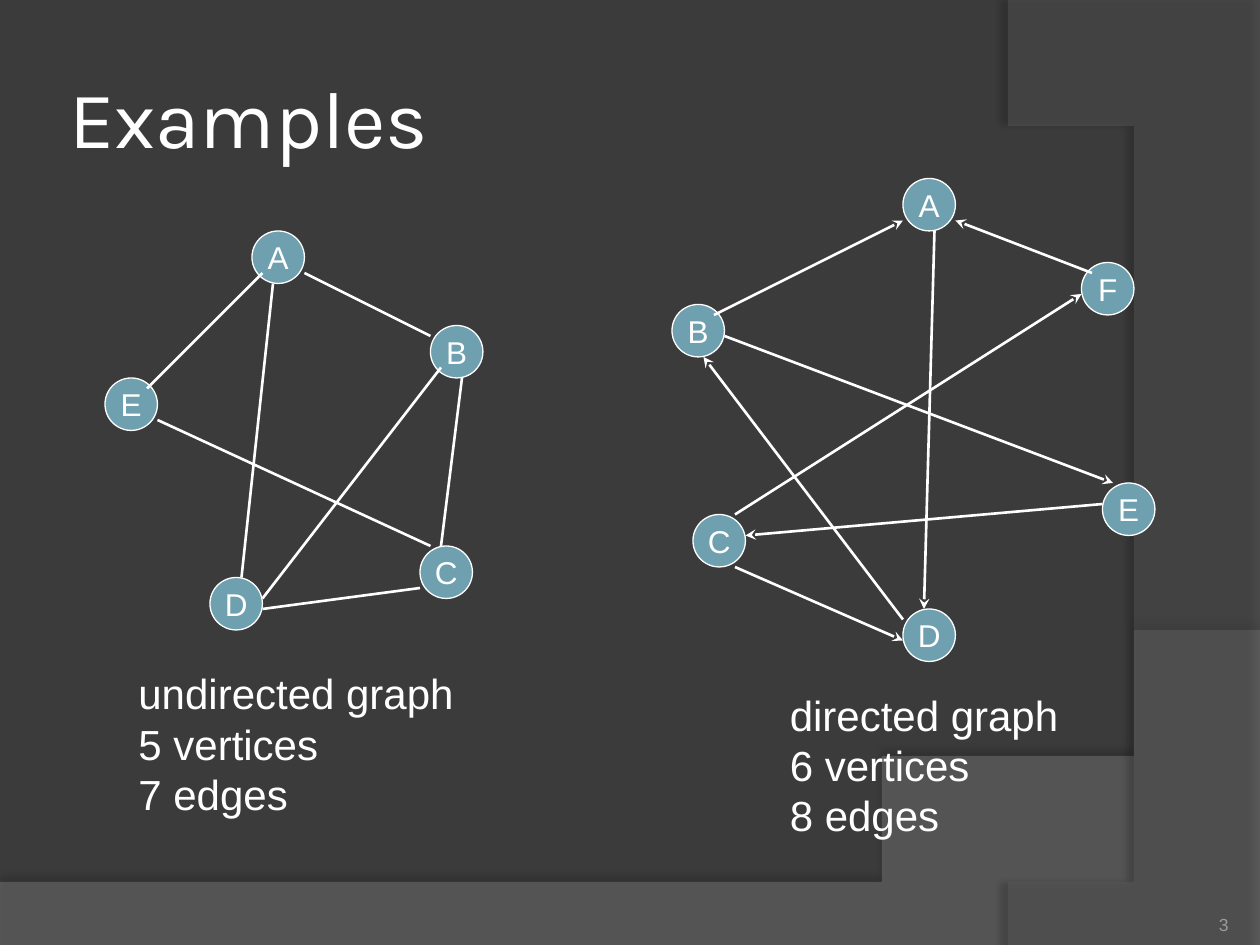
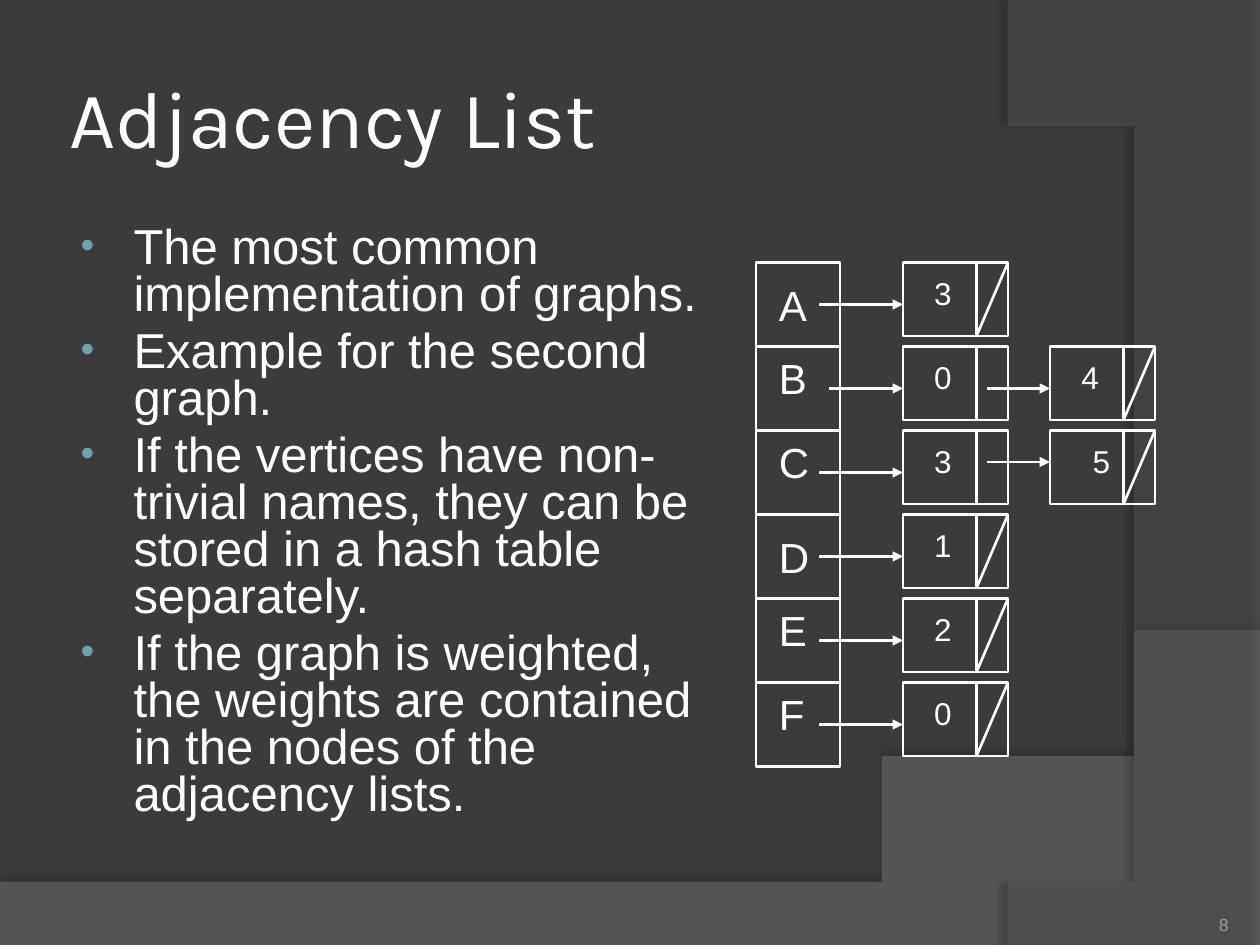
from dataclasses import dataclass
from lxml import etree
from pptx import Presentation
from pptx.dml.color import RGBColor
from pptx.enum.shapes import MSO_CONNECTOR, MSO_SHAPE
from pptx.enum.text import MSO_ANCHOR, MSO_AUTO_SIZE, PP_ALIGN
from pptx.oxml import parse_xml
from pptx.oxml.ns import nsdecls, qn
from pptx.util import Inches, Pt


@dataclass(frozen=True)
class Theme:
    back: str = "3B3B3B"
    ink: str = "FFFFFF"
    accent: str = "6EA0B0"
    muted: str = "9D9B9A"
    title_font: str = "Karla"
    body_font: str = "Arial"
    title: float = 46
    body: float = 28
    label: float = 24
    node: float = 18
    number: float = 10
    line: float = 1.5
    outline: float = 0.75


T = Theme()

# ---- Content; drawing positions count in twelfths of an inch ----
UNIT = 1 / 12
NODE = 5
GRAPHS = [
    dict(
        nodes={"E": (10, 36), "A": (24, 22), "D": (20, 55), "B": (41, 31), "C": (40, 52)},
        edges=[(29, 26, 41, 32), (26, 27, 23, 55), (15, 40, 41, 52), (44, 36, 42, 52),
               (14, 37, 25, 26), (25, 58, 40, 56), (42, 35, 25, 57)],
        head=None,
        caption=["undirected graph", "5 vertices", "7 edges"],
        caption_box=(1, 5.25, 2.71, 1.3)),
    dict(
        nodes={"A": (86, 17), "B": (64, 29), "C": (66, 49), "D": (86, 58),
               "F": (103, 25), "E": (105, 46)},
        edges=[(68, 30, 86, 21), (89, 22, 88, 58), (86, 59, 67, 34), (69, 32, 106, 46),
               (70, 54, 86, 61), (70, 49, 103, 28), (104, 26, 91, 21), (105, 48, 71, 51)],
        head="stealth",
        caption=["directed graph", "6 vertices", "8 edges"],
        caption_box=(6.17, 5.42, 2.34, 1.3)),
]
BULLETS = [
    "The most common implementation of graphs.",
    "Example for the second graph.",
    "If the vertices have non-trivial names, they can be stored in a hash table separately.",
    "If the graph is weighted, the weights are contained in the nodes of the adjacency lists.",
]
# vertex, linked values, label drop, start of first arrow, drop of second arrow
ADJACENCY = [
    ("A", "3", 1, 78, 4),
    ("B", "04", 0, 79, 4),
    ("C", "35", 0, 78, 3),
    ("D", "1", 1, 78, 4),
    ("E", "2", 0, 78, 4),
    ("F", "0", 0, 78, 4),
]
NUDGE = {"5": 0.09}  # value set further right in its cell
# Bands: start, straight points, then one curve (three control points)
BANDS = [
    dict(line=[(0, 7.05), (0, 7.51), (10, 7.51), (10, 5.2)],
         curve=[(5.59, 7.29), (3.91, 7.19), (0, 7.05)],
         color="7F7F7F", alpha=45, shadow=(35, 4, 3.5, 270)),
    dict(line=[(10, 0.02), (10, 7.5), (8.21, 7.5)],
         curve=[(9.35, 6.19), (10.18, 3), (8, 0)],
         color="5E5E5E", alpha=40, shadow=(45, 4, 4, 180)),
]


# ---- Helpers ----
def rgb(value):
    return RGBColor.from_string(value)


def style(tf, size, font=T.body_font, color=T.ink, align=None):
    for p in tf.paragraphs:
        p.alignment = align
        for r in p.runs:
            r.font.size, r.font.name = Pt(size), font
            r.font.color.rgb = rgb(color)


def place(shape, box):
    shape.left, shape.top, shape.width, shape.height = map(Inches, box)


def add_text(s, box, lines, size):
    tf = s.shapes.add_textbox(*map(Inches, box)).text_frame
    tf.text = "\n".join(lines)
    tf.word_wrap = False
    tf.auto_size = MSO_AUTO_SIZE.SHAPE_TO_FIT_TEXT
    style(tf, size)


def add_line(s, points, head=None):
    line = s.shapes.add_connector(MSO_CONNECTOR.STRAIGHT, *(Inches(v * UNIT) for v in points))
    line.line.color.rgb, line.line.width = rgb(T.ink), Pt(T.line)
    if head:
        etree.SubElement(line.line._get_or_add_ln(), qn("a:tailEnd"), type=head)
    etree.SubElement(line._element.spPr, qn("a:effectLst"))


def add_cell(s, kind, box, width, fill=None):
    sp = s.shapes.add_shape(kind, *(Inches(v * UNIT) for v in box))
    sp.shadow.inherit = False
    sp.line.color.rgb, sp.line.width = rgb(T.ink), Pt(width)
    if fill:
        sp.fill.solid()
        sp.fill.fore_color.rgb = rgb(fill)
    else:
        sp.fill.background()
    return sp


def add_slide(layout, title, number):
    s = prs.slides.add_slide(prs.slide_layouts[layout])
    place(s.shapes.title, (0.5, 0.3, 8.17, 1.25))
    tf = s.shapes.title.text_frame
    tf.text = title
    tf.vertical_anchor = MSO_ANCHOR.MIDDLE
    tf.auto_size = MSO_AUTO_SIZE.NONE
    tf.margin_left = tf.margin_right = tf.margin_top = tf.margin_bottom = Inches(0.05)
    style(tf, T.title, T.title_font, align=PP_ALIGN.LEFT)

    tf = s.shapes.add_textbox(*map(Inches, (8.92, 7.02, 0.83, 0.4))).text_frame
    tf.text = str(number)
    tf.word_wrap = True
    tf.vertical_anchor = MSO_ANCHOR.BOTTOM
    tf.margin_left = tf.margin_right = tf.margin_top = tf.margin_bottom = 0
    style(tf, T.number, color=T.muted, align=PP_ALIGN.RIGHT)
    return s


def bezier(start, c1, c2, end, steps=40):
    for i in range(1, steps + 1):
        t = i / steps
        u = 1 - t
        yield tuple(u**3 * a + 3 * u * u * t * b + 3 * u * t * t * c + t**3 * d
                    for a, b, c, d in zip(start, c1, c2, end))


def add_master_band(s, band, index):
    """Build the band on a slide, then move it behind the master's placeholders."""
    start, *rest = band["line"]
    points = rest + list(bezier(rest[-1], *band["curve"]))
    builder = s.shapes.build_freeform(*start, scale=Inches(1))
    builder.add_line_segments(points, close=True)
    sp = builder.convert_to_shape()
    sp.line.fill.background()
    sp.fill.solid()
    sp.fill.fore_color.rgb = rgb(band["color"])
    color = sp._element.spPr.find(qn("a:solidFill"))[0]
    etree.SubElement(color, qn("a:alpha"), val=str(band["alpha"] * 1000))
    alpha, blur, dist, angle = band["shadow"]
    sp._element.spPr.append(parse_xml(
        f'<a:effectLst {nsdecls("a")}><a:outerShdw blurRad="{Pt(blur)}" dist="{Pt(dist)}" '
        f'dir="{angle * 60000}" algn="ctr" rotWithShape="0"><a:srgbClr val="000000">'
        f'<a:alpha val="{alpha * 1000}"/></a:srgbClr></a:outerShdw></a:effectLst>'))
    sp._element.nvSpPr.cNvPr.set("id", str(101 + index))
    prs.slide_master.shapes._spTree.insert(2 + index, sp._element)


# ---- Deck and shared background ----
prs = Presentation()
prs.slide_width, prs.slide_height = Inches(10), Inches(7.5)
fill = prs.slide_master.background.fill
fill.solid()
fill.fore_color.rgb = rgb(T.back)

# ---- Example graphs ----
s = add_slide(5, "Examples", 3)
for i, band in enumerate(BANDS):
    add_master_band(s, band, i)
for graph in GRAPHS:
    for name, (x, y) in graph["nodes"].items():
        sp = add_cell(s, MSO_SHAPE.OVAL, (x, y, NODE, NODE), T.outline, T.accent)
        tf = sp.text_frame
        tf.text = name
        tf.word_wrap = False
        tf.vertical_anchor = MSO_ANCHOR.MIDDLE
        style(tf, T.node, align=PP_ALIGN.CENTER)
    for edge in graph["edges"]:
        add_line(s, edge, graph["head"])
    add_text(s, graph["caption_box"], graph["caption"], T.label)

# ---- Adjacency list: bullets ----
s = add_slide(1, "Adjacency List", 8)
body = s.placeholders[1]
place(body, (0.5, 1.75, 5.17, 4.95))
tf = body.text_frame
tf.text = "\n".join(BULLETS)
tf.auto_size = MSO_AUTO_SIZE.NONE
style(tf, T.body)
for p in tf.paragraphs:
    p.line_spacing, p.space_before = 0.8, Pt(T.body * 0.2)
    pPr = p._p.get_or_add_pPr()
    pPr.set("marL", str(Inches(0.46)))
    pPr.set("indent", str(Inches(-0.42)))
    bullet = etree.SubElement(pPr, qn("a:buClr"))
    etree.SubElement(bullet, qn("a:srgbClr"), val=T.accent)
    etree.SubElement(pPr, qn("a:buSzPct"), val="80000")
    etree.SubElement(pPr, qn("a:buFont"), typeface=T.body_font)
    etree.SubElement(pPr, qn("a:buChar"), char="•")

# ---- Adjacency list: vertex column and linked cells ----
TOP, PITCH, COLUMN, FIRST, STEP = 25, 8, 72, 86, 14
CELL_W, CELL_H, SPLIT = 10, 7, 7
for row, (name, values, drop, start, second) in enumerate(ADJACENCY):
    y = TOP + row * PITCH
    add_cell(s, MSO_SHAPE.RECTANGLE, (COLUMN, y, PITCH, PITCH), T.line)
    add_text(s, ((COLUMN + 1) * UNIT, (y + drop) * UNIT, 0.42, 0.5), [name], T.label)
    for i, value in enumerate(values):
        x = FIRST + i * STEP
        add_cell(s, MSO_SHAPE.RECTANGLE, (x, y, CELL_W, CELL_H), T.line)
        add_line(s, (x + SPLIT, y, x + SPLIT, y + CELL_H))
        add_text(s, (x * UNIT + 0.15 + NUDGE.get(value, 0), y * UNIT + 0.04, 0.34, 0.4),
                 [value], T.node)
        tail_x, tail_y = (x - 6, y + second) if i else (start, y + 4)
        add_line(s, (tail_x, tail_y, x, tail_y), "triangle")
    # Slash marks the end of the list
    add_line(s, (x + CELL_W, y, x + SPLIT, y + CELL_H))

prs.save("out.pptx")
